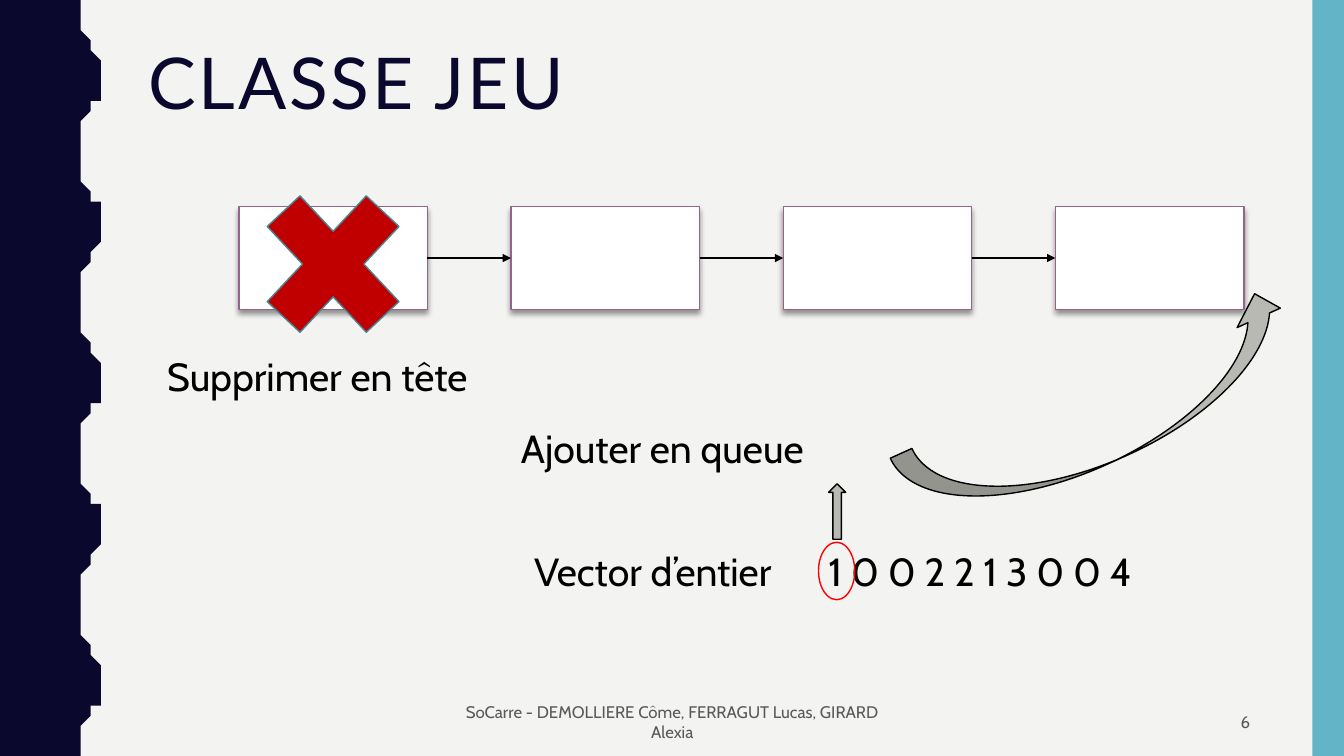
from dataclasses import dataclass
from typing import Optional

from lxml import etree
from pptx import Presentation
from pptx import util as u
from pptx.dml.color import RGBColor
from pptx.enum import shapes, text
from pptx.oxml import parse_xml
from pptx.oxml.ns import qn

CELL = u.Inches(0.1)
COLUMNS, ROWS = 133.33, 75

NAVY = RGBColor(0x0B, 0x08, 0x2E)
AQUA = RGBColor(0x62, 0xB4, 0xC6)
TEAL = RGBColor(0x49, 0x85, 0x92)
PAPER = RGBColor(0xF3, 0xF3, 0xF2)
WHITE = RGBColor(0xFF, 0xFF, 0xFF)
BLACK = RGBColor(0x00, 0x00, 0x00)
PLUM = RGBColor(0x96, 0x64, 0x8A)
GREY = RGBColor(0xB9, 0xB9, 0xB3)
SLATE = RGBColor(0x59, 0x59, 0x59)
RED = RGBColor(0xFF, 0x00, 0x00)
CRIMSON = RGBColor(0xC0, 0x00, 0x00)

PRESET = shapes.MSO_SHAPE
ALIGN = text.PP_ALIGN
ANCHOR = text.MSO_ANCHOR
DRAWING = "http://schemas.openxmlformats.org/drawingml/2006/main"
BOX_SHADOW = (
    f'<a:effectLst xmlns:a="{DRAWING}">'
    '<a:outerShdw blurRad="50800" dist="38100" dir="5400000" rotWithShape="0">'
    '<a:srgbClr val="000000"><a:alpha val="40000"/></a:srgbClr>'
    "</a:outerShdw></a:effectLst>"
)


@dataclass(frozen=True)
class Area:
    column: float
    row: float
    columns: float
    rows: float

    def lengths(self) -> tuple:
        cells = (self.column, self.row, self.columns, self.rows)
        return tuple(u.Emu(round(CELL * cell)) for cell in cells)


@dataclass(frozen=True)
class Figure:
    preset: shapes.MSO_SHAPE
    area: Area
    fill: Optional[RGBColor] = None
    line: Optional[RGBColor] = None
    rotation: float = 0


@dataclass(frozen=True)
class Label:
    words: str
    area: Area
    size: float = 28
    color: RGBColor = BLACK
    align: ALIGN = ALIGN.LEFT
    anchor: ANCHOR = ANCHOR.TOP
    grow: bool = True


WAVE_RISE = [
    (7.8, 0), (7.8, 0.7), (7.9, 1.4), (8, 2), (8.1, 2.5), (8.3, 2.9), (8.5, 3.3), (8.7, 3.8),
    (8.9, 4.2), (9.1, 4.6), (9.3, 5), (9.5, 5.5), (9.6, 6.1), (9.7, 6.8), (9.7, 7.5),
]
WAVE_LENGTH = 15
WAVE_COUNT = 5

BOX_COUNT = 4
FIRST_BOX = 23.7
BOX_STEP = 27

SIDE_STRIP = Figure(PRESET.RECTANGLE, Area(130.2, 0, COLUMNS - 130.2, ROWS), AQUA)
MARKS = [
    Figure(PRESET.OVAL, Area(81.2, 53.8, 3.6, 5.7), line=RED),
    Figure(PRESET.RIGHT_ARROW, Area(80.3, 49.9, 5.5, 1.7), GREY, BLACK, 270),
    Figure(PRESET.CURVED_UP_ARROW, Area(88.4, 36.4, 42, 9.4), GREY, BLACK, 335.7),
    Figure(PRESET.MATH_MULTIPLY, Area(23.6, 16.1, 18.9, 20.2), CRIMSON, TEAL),
]
TITLE = Label("CLASSE JEU", Area(13.7, 4.2, 111.3, 16.3), 51, NAVY, grow=False)
FOOTERS = [
    Label("SoCarre - DEMOLLIERE Côme, FERRAGUT Lucas, GIRARD Alexia",
          Area(44.2, 69.7, 45, 3.8), 12, SLATE, ALIGN.CENTER, ANCHOR.MIDDLE, False),
    Label("6", Area(94.2, 69.7, 30.8, 3.8), 12, SLATE, ALIGN.RIGHT, ANCHOR.MIDDLE, False),
]
CAPTIONS = [
    Label("Vector d’entier", Area(52, 53.8, 42.2, 5.7)),
    Label("1 0 0 2 2 1 3 0 0 4", Area(81.2, 53.8, 42.2, 5.7)),
    Label("Ajouter en queue", Area(50.7, 41.6, 42.2, 5.7)),
    Label("Supprimer en tête", Area(15.6, 34.5, 42.2, 5.7)),
]


def paint(shape, fill: Optional[RGBColor], line: Optional[RGBColor]) -> None:
    shape.shadow.inherit = False
    if fill is None:
        shape.fill.background()
    else:
        shape.fill.solid()
        shape.fill.fore_color.rgb = fill
    if line is None:
        shape.line.fill.background()
    else:
        shape.line.color.rgb = line
        shape.line.width = u.Pt(1)


def draw_figure(slide, figure: Figure):
    shape = slide.shapes.add_shape(figure.preset, *figure.area.lengths())
    shape.rotation = figure.rotation
    paint(shape, figure.fill, figure.line)
    return shape


def draw_wave(slide) -> None:
    fall = [(column, WAVE_LENGTH - row) for column, row in WAVE_RISE[-2::-1]]
    edge = [
        (column, row + wave * WAVE_LENGTH)
        for wave in range(WAVE_COUNT)
        for column, row in WAVE_RISE + fall
    ]
    builder = slide.shapes.build_freeform(0, 0, scale=CELL)
    builder.add_line_segments(edge + [(0, ROWS)], close=True)
    paint(builder.convert_to_shape(), NAVY, None)


def write(shape, label: Label, font: str) -> None:
    frame = shape.text_frame
    frame.text = label.words
    frame.word_wrap = True
    frame.auto_size = (
        text.MSO_AUTO_SIZE.SHAPE_TO_FIT_TEXT if label.grow else text.MSO_AUTO_SIZE.NONE
    )
    frame.vertical_anchor = label.anchor
    paragraph = frame.paragraphs[0]
    paragraph.alignment = label.align
    run = paragraph.runs[0]
    run.font.name = font
    run.font.size = u.Pt(label.size)
    run.font.color.rgb = label.color


def draw_label(slide, label: Label) -> None:
    write(slide.shapes.add_textbox(*label.area.lengths()), label, "Cabin")


def draw_title(slide) -> None:
    title = slide.shapes.title
    title.left, title.top, title.width, title.height = TITLE.area.lengths()
    write(title, TITLE, "Lato")
    paragraph = title.text_frame.paragraphs[0]
    paragraph.line_spacing = 0.9
    paragraph.runs[0].font._element.set("spc", "200")


def draw_box(slide, index: int):
    area = Area(FIRST_BOX + index * BOX_STEP, 20.5, 18.7, 10.2)
    box = draw_figure(slide, Figure(PRESET.RECTANGLE, area, WHITE, PLUM))
    properties = box._element.spPr
    properties.replace(properties.find(qn("a:effectLst")), parse_xml(BOX_SHADOW))
    return box


def draw_link(slide, source, target) -> None:
    link = slide.shapes.add_connector(shapes.MSO_CONNECTOR.STRAIGHT, 0, 0, 0, 0)
    link.begin_connect(source, 3)
    link.end_connect(target, 1)
    link.line.color.rgb = BLACK
    link.line.width = u.Pt(1)
    etree.SubElement(link.line._get_or_add_ln(), qn("a:tailEnd"), type="triangle")
    etree.SubElement(link._element.spPr, qn("a:effectLst"))


def main() -> None:
    presentation = Presentation()
    presentation.slide_width = round(CELL * COLUMNS)
    presentation.slide_height = CELL * ROWS
    slide = presentation.slides.add_slide(presentation.slide_layouts[5])
    slide.background.fill.solid()
    slide.background.fill.fore_color.rgb = PAPER

    draw_wave(slide)
    draw_figure(slide, SIDE_STRIP)
    draw_title(slide)
    boxes = [draw_box(slide, index) for index in range(BOX_COUNT)]
    for source, target in zip(boxes, boxes[1:]):
        draw_link(slide, source, target)
    for label in FOOTERS + CAPTIONS:
        draw_label(slide, label)
    for mark in MARKS:
        draw_figure(slide, mark)

    presentation.save("out.pptx")


if __name__ == "__main__":
    main()
